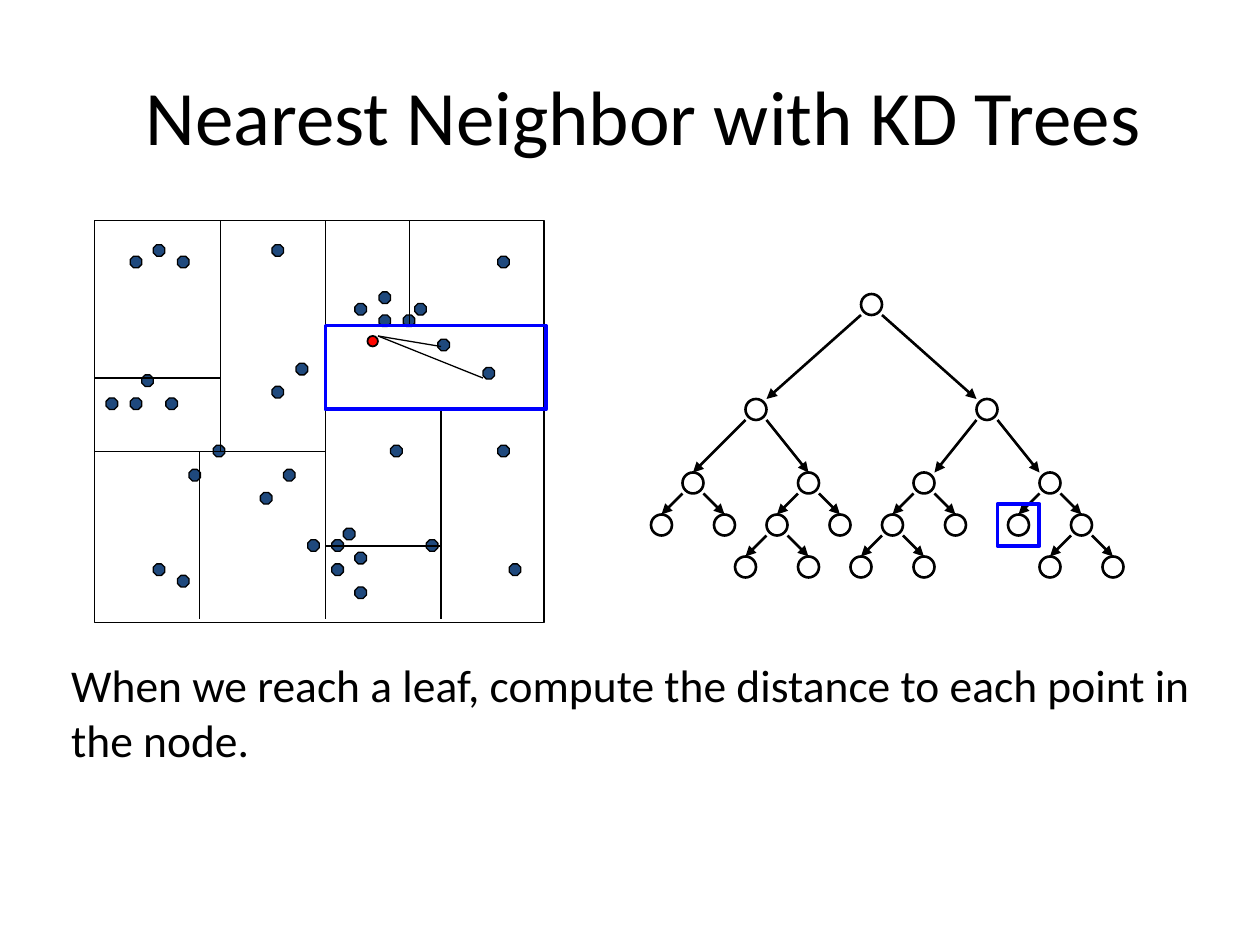
from dataclasses import dataclass
from typing import NamedTuple, Optional

from lxml.etree import SubElement
from pptx import Presentation
from pptx.dml.color import RGBColor
from pptx.enum.shapes import MSO_CONNECTOR, MSO_SHAPE
from pptx.enum.text import MSO_ANCHOR, MSO_AUTO_SIZE, PP_ALIGN
from pptx.oxml.ns import qn
from pptx.util import Emu, Pt

EMU_PER_PX = 7620  # 120 px to the inch


@dataclass(frozen=True)
class Theme:
    font: str = "Calibri"
    title_size: int = 44
    body_size: int = 26
    ink: RGBColor = RGBColor(0x00, 0x00, 0x00)
    point: RGBColor = RGBColor(0x1F, 0x49, 0x7D)
    query: RGBColor = RGBColor(0xFF, 0x06, 0x00)
    highlight: RGBColor = RGBColor(0x00, 0x00, 0xFF)
    hairline: float = 0.75
    split_line: float = 1
    tree_line: float = 1.5
    highlight_line: float = 2.25


class Box(NamedTuple):
    left: int
    top: int
    width: int
    height: int


class Segment(NamedTuple):
    x1: int
    y1: int
    x2: int
    y2: int


class Node(NamedTuple):
    left: int
    children: tuple["Node", ...] = ()
    entry: int = 10  # where the incoming arrow lands, from the node's left


THEME = Theme()
TITLE_BOX = Box(56, 34, 1114, 150)
CAPTION_BOX = Box(56, 620, 1114, 118)

# Data points: columns occupied in each row of a fine lattice
POINT_SIZE = 11
LATTICE_LEFT, LATTICE_TOP = 101, 233
COLUMN_STEP, ROW_STEP = 11.3, 11.25
POINT_COLUMNS = {
    0: (4, 14), 1: (2, 6, 33), 4: (23,), 5: (21, 26), 6: (23, 25),
    8: (28,), 10: (16,), 11: (3,), 12: (14,), 13: (0, 2, 5),
    17: (9, 24, 33), 19: (7, 15), 21: (13,), 24: (20,),
    25: (17, 19, 27), 26: (21,), 27: (4, 19, 34), 28: (6,), 29: (21,),
}

# Partition of the plane
PLANE = Box(90, 210, 428, 383)
SPLITS = (
    Segment(310, 210, 310, 590),
    Segment(310, 390, 520, 390),
    Segment(420, 390, 420, 590),
    Segment(310, 520, 420, 520),
    Segment(90, 430, 310, 430),
    Segment(210, 430, 210, 210),
    Segment(310, 310, 520, 310),
    Segment(390, 210, 390, 310),
    Segment(190, 430, 190, 590),
    Segment(90, 360, 210, 360),
)

# Query, the leaf it falls in, and the distances measured there
QUERY = Box(350, 320, 10, 10)
FAR_POINT = Box(460, 350, POINT_SIZE, POINT_SIZE)
LEAF_CELL = Box(310, 310, 210, 80)
LEAF_NODE = Box(950, 480, 40, 40)
DISTANCES = (Segment(360, 320, 420, 330), Segment(360, 320, 460, 360))

# KD tree
NODE_SIZE = 20
LEVEL_TOPS = (280, 380, 450, 490, 530)
TREE = Node(820, (
    Node(710, (
        Node(650, (Node(620), Node(680))),
        Node(760, (Node(730, (Node(700), Node(760))), Node(790))),
    ), entry=20),
    Node(930, (
        Node(870, (Node(840, (Node(810), Node(870))), Node(900)), entry=20),
        Node(990, (Node(960), Node(1020, (Node(990), Node(1050)))), entry=0),
    ), entry=0),
))


def px(length: float) -> Emu:
    return Emu(round(length) * EMU_PER_PX)


def place(shape, box: Box) -> None:
    shape.left, shape.top, shape.width, shape.height = map(px, box)


def draw_shape(shapes, kind: MSO_SHAPE, box: Box, line_color: RGBColor,
               line_width: float, fill: Optional[RGBColor] = None) -> None:
    shape = shapes.add_shape(kind, *map(px, box))
    shape.shadow.inherit = False
    shape.line.color.rgb = line_color
    shape.line.width = Pt(line_width)
    if fill is None:
        shape.fill.background()
    else:
        shape.fill.solid()
        shape.fill.fore_color.rgb = fill


def draw_point(shapes, box: Box) -> None:
    draw_shape(shapes, MSO_SHAPE.OCTAGON, box, THEME.ink, THEME.hairline, THEME.point)


def draw_line(shapes, segment: Segment, width: float, arrow: bool = False) -> None:
    line = shapes.add_connector(MSO_CONNECTOR.STRAIGHT, *map(px, segment))
    line.line.color.rgb = THEME.ink
    line.line.width = Pt(width)
    if arrow:
        SubElement(line.line._get_or_add_ln(), qn("a:tailEnd"), type="triangle")
    SubElement(line._element.spPr, qn("a:effectLst"))


def draw_tree(shapes, node: Node, level: int = 0) -> None:
    top = LEVEL_TOPS[level]
    draw_shape(shapes, MSO_SHAPE.OVAL, Box(node.left, top, NODE_SIZE, NODE_SIZE),
               THEME.ink, THEME.tree_line)
    for side, child in enumerate(node.children):
        draw_tree(shapes, child, level + 1)
        edge = Segment(node.left + side * NODE_SIZE, top + NODE_SIZE,
                       child.left + child.entry, LEVEL_TOPS[level + 1])
        draw_line(shapes, edge, THEME.tree_line, arrow=True)


def write(frame, text: str, size: int, align: PP_ALIGN) -> None:
    frame.word_wrap = True
    paragraph = frame.paragraphs[0]
    paragraph.text = text
    paragraph.alignment = align
    paragraph.font.name = THEME.font
    paragraph.font.size = Pt(size)
    paragraph.font.color.rgb = THEME.ink


def main() -> None:
    deck = Presentation()
    deck.slide_width, deck.slide_height = px(1200), px(900)
    slide = deck.slides.add_slide(deck.slide_layouts[5])
    shapes = slide.shapes

    # Title
    title = shapes.title
    place(title, TITLE_BOX)
    title.text_frame.vertical_anchor = MSO_ANCHOR.MIDDLE
    write(title.text_frame, "Nearest Neighbor with KD Trees",
          THEME.title_size, PP_ALIGN.CENTER)

    # Points and the splits between them
    for row, columns in POINT_COLUMNS.items():
        for column in columns:
            draw_point(shapes, Box(round(LATTICE_LEFT + column * COLUMN_STEP),
                                   round(LATTICE_TOP + row * ROW_STEP),
                                   POINT_SIZE, POINT_SIZE))
    draw_shape(shapes, MSO_SHAPE.RECTANGLE, PLANE, THEME.ink, THEME.split_line)
    for split in SPLITS:
        draw_line(shapes, split, THEME.split_line)

    draw_tree(shapes, TREE)

    # Caption
    caption = shapes.add_textbox(*map(px, CAPTION_BOX)).text_frame
    write(caption, "When we reach a leaf, compute the distance to each point in the node.",
          THEME.body_size, PP_ALIGN.LEFT)
    caption.auto_size = MSO_AUTO_SIZE.SHAPE_TO_FIT_TEXT

    # Query point, highlighted leaf and distances
    draw_shape(shapes, MSO_SHAPE.OVAL, QUERY, THEME.ink, THEME.split_line, THEME.query)
    for leaf in (LEAF_CELL, LEAF_NODE):
        draw_shape(shapes, MSO_SHAPE.RECTANGLE, leaf, THEME.highlight, THEME.highlight_line)
    draw_point(shapes, FAR_POINT)
    for distance in DISTANCES:
        draw_line(shapes, distance, THEME.hairline)

    deck.save("out.pptx")


if __name__ == "__main__":
    main()
